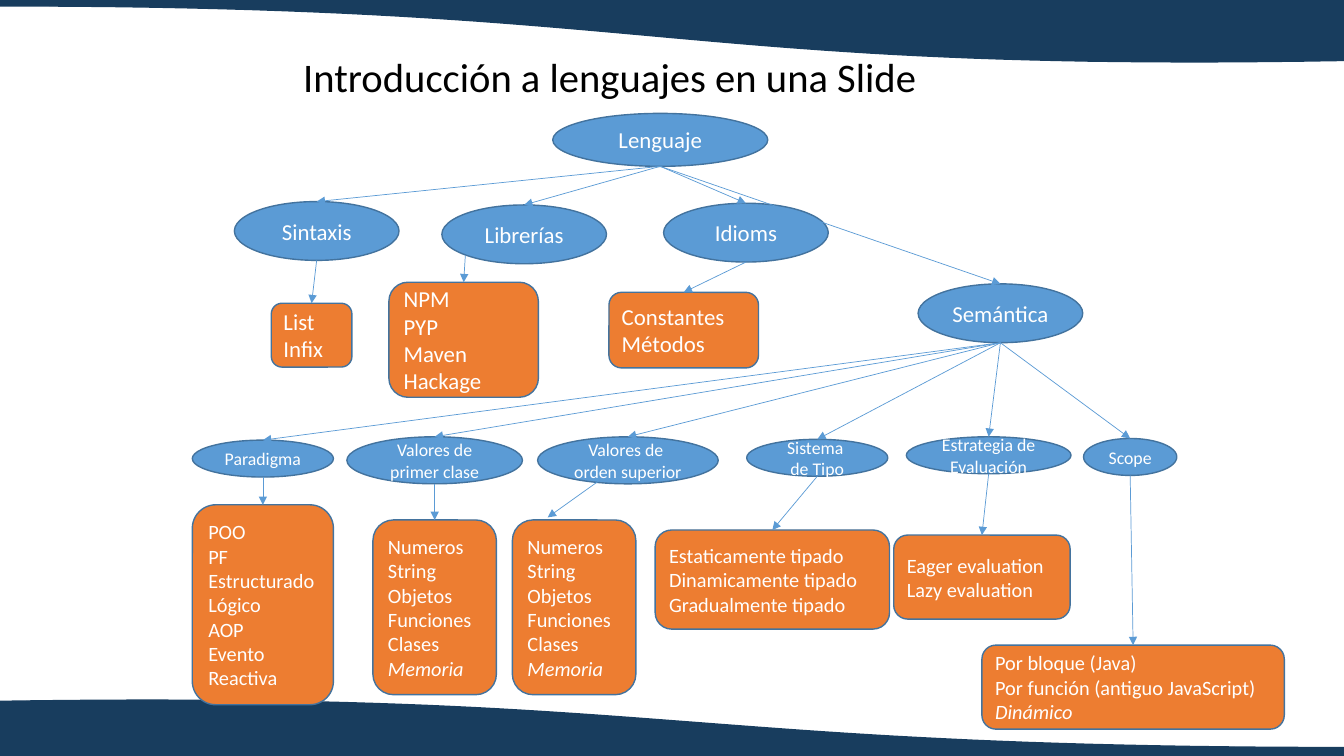
"""Build a one-slide concept tree that introduces programming languages."""
import pptx
import pptx.util
import pptx.dml.color
import pptx.enum.shapes
import pptx.enum.text
import pptx.oxml.ns
from lxml import etree

RGBColor = pptx.dml.color.RGBColor
NAVY = RGBColor(0x18, 0x3D, 0x5E)
BLUE = RGBColor(0x5B, 0x9B, 0xD5)
OUTLINE = RGBColor(0x43, 0x73, 0x9E)
ORANGE = RGBColor(0xED, 0x7D, 0x31)
WHITE = RGBColor(0xFF, 0xFF, 0xFF)
BLACK = RGBColor(0x00, 0x00, 0x00)
FONT = "Calibri"
COLUMNS, ROWS = 160, 90
CELL = pptx.util.Inches(7.5) // ROWS
LARGE, MEDIUM, SMALL = 16.3, 14.5, 12.7
ITALIC_LINES = ("Memoria", "Dinámico")
MSO_SHAPE = pptx.enum.shapes.MSO_SHAPE
PP_ALIGN = pptx.enum.text.PP_ALIGN
MIDDLE = pptx.enum.text.MSO_ANCHOR.MIDDLE

presentation = pptx.Presentation()
presentation.slide_width = COLUMNS * CELL
presentation.slide_height = ROWS * CELL
slide = presentation.slides.add_slide(presentation.slide_layouts[5])


def cells(*values):
    """Turn grid cells into slide lengths."""
    return [pptx.util.Emu(round(value * CELL)) for value in values]


def add_box(preset, place, text, size, fill, alignment):
    """Add a filled shape with its text."""
    shape = slide.shapes.add_shape(preset, *cells(*place))
    shape.shadow.inherit = False
    shape.fill.solid()
    shape.fill.fore_color.rgb = fill
    shape.line.color.rgb = OUTLINE
    shape.line.width = pptx.util.Pt(1)
    frame = shape.text_frame
    frame.word_wrap = True
    frame.vertical_anchor = MIDDLE
    frame.margin_left = frame.margin_right = pptx.util.Inches(0.09)
    frame.margin_top = frame.margin_bottom = pptx.util.Inches(0.05)
    frame.text = text
    for paragraph in frame.paragraphs:
        paragraph.alignment = alignment
        for run in paragraph.runs:
            run.font.name = FONT
            run.font.size = pptx.util.Pt(size)
            run.font.color.rgb = WHITE
            if run.text in ITALIC_LINES:
                run.font.italic = True


WAVES = [
    (0, [(0, 0.7), (80, 0.7), (80, 8.6), (160, 7.2)]),
    (ROWS, [(0, 83.5), (80, 82.3), (80, 89), (160, 89)]),
]
CURVE_STEPS = 48
for edge, controls in WAVES:
    curve = []
    for step in range(CURVE_STEPS + 1):
        t = step / CURVE_STEPS
        weights = ((1 - t) ** 3, 3 * t * (1 - t) ** 2, 3 * t ** 2 * (1 - t), t ** 3)
        curve.append(cells(*(sum(weight * point[axis] for weight, point in zip(weights, controls))
                             for axis in (0, 1))))
    builder = slide.shapes.build_freeform(*cells(0, edge))
    builder.add_line_segments(curve + [cells(COLUMNS, edge)], close=True)
    wave = builder.convert_to_shape()
    wave.shadow.inherit = False
    wave.fill.solid()
    wave.fill.fore_color.rgb = NAVY
    wave.line.color.rgb = NAVY
    wave.line.width = pptx.util.Pt(1)

title = slide.shapes.title
title.left, title.top, title.width, title.height = cells(34.9, 6.4, 108, 6.2)
title.text_frame.text = "Introducción a lenguajes en una Slide"
title.text_frame.auto_size = pptx.enum.text.MSO_AUTO_SIZE.NONE
title.text_frame.vertical_anchor = MIDDLE
heading = title.text_frame.paragraphs[0]
heading.alignment = PP_ALIGN.LEFT
heading.line_spacing = 0.9
heading.runs[0].font.name = FONT
heading.runs[0].font.size = pptx.util.Pt(29)
heading.runs[0].font.color.rgb = BLACK

CONCEPTS = {
    "Lenguaje": (None, (65.8, 13.5, 25.6, 6.3), LARGE),
    "Sintaxis": ("Lenguaje", (27.9, 24, 19.6, 7), LARGE),
    "Librerías": ("Lenguaje", (52.6, 24.4, 19.6, 7), LARGE),
    "Idioms": ("Lenguaje", (79, 24.2, 19.6, 7), LARGE),
    "Semántica": ("Lenguaje", (109.3, 33.8, 19.6, 7), LARGE),
    "Paradigma": ("Semántica", (22.9, 52.4, 16.8, 4.4), SMALL),
    "Valores de primer clase": ("Semántica", (41.3, 52, 20.9, 5.6), SMALL),
    "Valores de \vorden superior": ("Semántica", (64, 52, 21.5, 5.6), SMALL),
    "Sistema \vde Tipo": ("Semántica", (88.9, 52.3, 16.8, 4.4), SMALL),
    "Estrategia de Evaluación": ("Semántica", (107.9, 52, 19.6, 4.4), SMALL),
    "Scope": ("Semántica", (129, 52.2, 11.1, 4.4), SMALL),
}
VALUES = "Numeros\nString\nObjetos\nFunciones\nClases\nMemoria"
EXAMPLES = [
    ("Sintaxis", (32.3, 36.1, 9.6, 7.6), LARGE, "List\nInfix"),
    ("Librerías", (46.3, 33.6, 17.8, 13.7), LARGE, "NPM\nPYP\nMaven\nHackage"),
    ("Idioms", (72.5, 34.8, 17.8, 9), LARGE, "Constantes\nMétodos"),
    ("Paradigma", (22.9, 60.1, 16.8, 23.8), MEDIUM,
     "POO\nPF\nEstructurado\nLógico\nAOP\nEvento\nReactiva"),
    ("Valores de primer clase", (44.4, 61.9, 14.7, 20.8), MEDIUM, VALUES),
    ("Valores de \vorden superior", (61, 61.9, 14.7, 20.8), MEDIUM, VALUES),
    ("Sistema \vde Tipo", (78, 63.1, 27.9, 11.8), MEDIUM,
     "Estaticamente tipado\nDinamicamente tipado\nGradualmente tipado"),
    ("Estrategia de Evaluación", (106.4, 63.7, 21, 10), MEDIUM,
     "Eager evaluation\nLazy evaluation"),
    ("Scope", (116.9, 76.8, 36, 10), MEDIUM,
     "Por bloque (Java)\nPor función (antiguo JavaScript)\nDinámico"),
]
SLANTED_ARROWS = {
    "Librerías": (55.4, 30.4, 55.2, 33.6),
    "Valores de \vorden superior": (71.5, 57.1, 65.2, 61.6),
}

links = []
for concept, (parent, place, size) in CONCEPTS.items():
    add_box(MSO_SHAPE.OVAL, place, concept, size, BLUE, PP_ALIGN.CENTER)
    if parent:
        links.append((parent, place, None))
for concept, place, size, text in EXAMPLES:
    add_box(MSO_SHAPE.ROUNDED_RECTANGLE, place, text, size, ORANGE, PP_ALIGN.LEFT)
    links.append((concept, place, SLANTED_ARROWS.get(concept)))

for parent, (left, top, width, height), slanted in links:
    parent_left, parent_top, parent_width, parent_height = CONCEPTS[parent][1]
    ends = slanted or (parent_left + parent_width / 2, parent_top + parent_height,
                       left + width / 2, top)
    arrow = slide.shapes.add_connector(pptx.enum.shapes.MSO_CONNECTOR.STRAIGHT, *cells(*ends))
    arrow.line.color.rgb = BLUE
    arrow.line.width = pptx.util.Pt(0.5)
    properties = arrow._element.spPr
    outline = properties.find(pptx.oxml.ns.qn("a:ln"))
    etree.SubElement(outline, pptx.oxml.ns.qn("a:tailEnd"), type="triangle")
    etree.SubElement(properties, pptx.oxml.ns.qn("a:effectLst"))

presentation.save("out.pptx")
